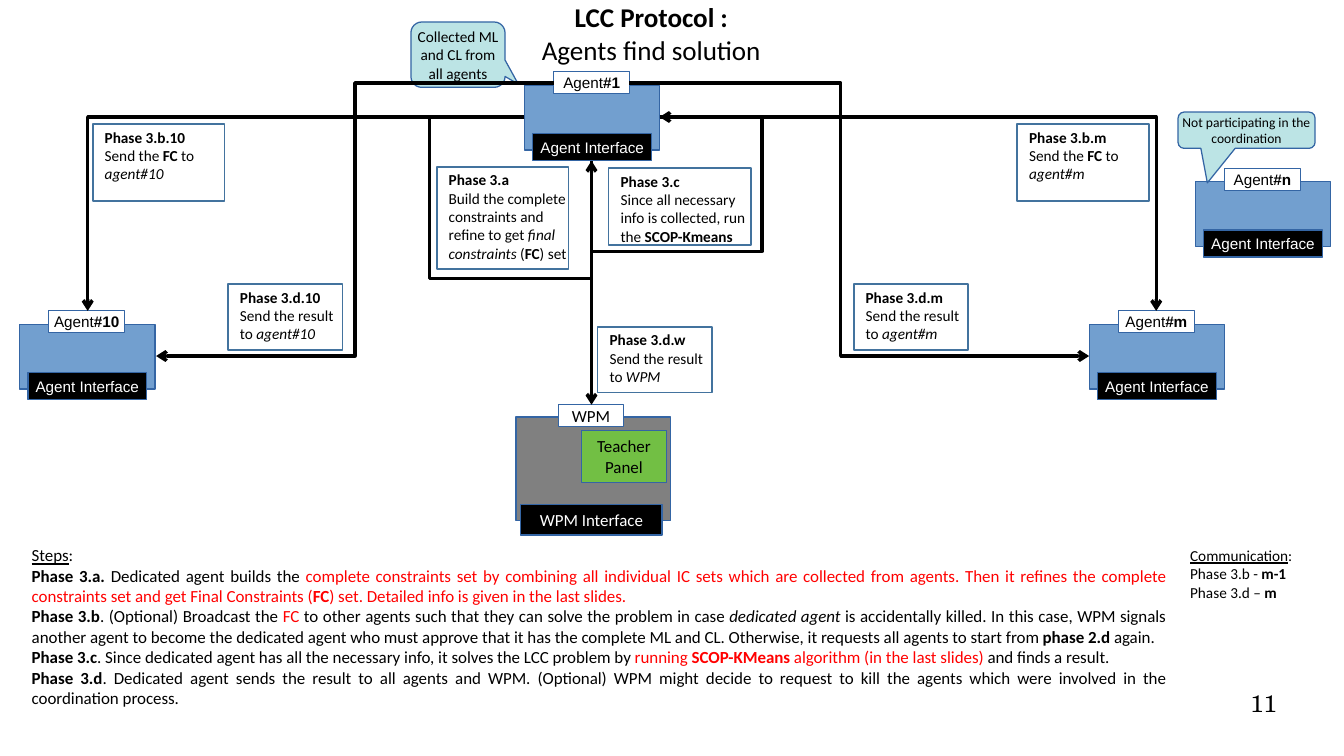
"""Build the slide that shows how agents find a solution in the LCC protocol."""
from dataclasses import dataclass

from lxml import etree
from pptx import Presentation
from pptx import util as u
from pptx.dml.color import RGBColor
from pptx.enum import shapes, text
from pptx.oxml import ns

Pt = u.Pt


@dataclass(frozen=True)
class Theme:
    black: str = "000000"
    white: str = "FFFFFF"
    red: str = "FF0000"
    agent: str = "729FCF"
    edge: str = "3465A4"
    note_edge: str = "43739E"
    callout: str = "BCE4E5"
    server: str = "808080"
    panel: str = "72BF44"
    sans: str = "Calibri"
    label: str = "Arial"
    serif: str = "TeX Gyre Schola"
    tiny: int = 8
    small: int = 9
    normal: int = 10
    large: int = 14
    title: int = 16


theme = Theme()
align = text.PP_ALIGN
anchor = text.MSO_ANCHOR
preset = shapes.MSO_SHAPE


def write(shape, lines, size, font=theme.sans, color=theme.black, alignment=align.CENTER,
          anchored=anchor.MIDDLE, insets=(0, 0, 0, 0), wrap=True):
    """Fill a shape with paragraphs of (text, style) runs; styles are b, i, u and r for red."""
    frame = shape.text_frame
    frame.word_wrap = wrap
    frame.auto_size = text.MSO_AUTO_SIZE.NONE
    frame.vertical_anchor = anchored
    frame.margin_left, frame.margin_top, frame.margin_right, frame.margin_bottom = map(Pt, insets)
    for index, runs in enumerate(lines):
        paragraph = frame.add_paragraph() if index else frame.paragraphs[0]
        paragraph.alignment = alignment
        paragraph.space_before = Pt(0)
        paragraph.font.size = Pt(size)
        paragraph.font.name = font
        paragraph.font.color.rgb = RGBColor.from_string(color)
        for content, style in runs:
            run = paragraph.add_run()
            run.text = content
            if "b" in style:
                run.font.bold = True
            if "i" in style:
                run.font.italic = True
            if "u" in style:
                run.font.underline = True
            if "r" in style:
                run.font.color.rgb = RGBColor.from_string(theme.red)


def draw(kind, box, fill=None, line=theme.edge, width=0):
    """Add a preset shape with its fill and outline."""
    shape = slide.shapes.add_shape(kind, *map(Pt, box))
    shape.shadow.inherit = False
    if fill:
        shape.fill.solid()
        shape.fill.fore_color.rgb = RGBColor.from_string(fill)
    else:
        shape.fill.background()
    shape.line.color.rgb = RGBColor.from_string(line)
    shape.line.width = Pt(width)
    return shape


presentation = Presentation()
presentation.slide_width, presentation.slide_height = Pt(793.44), Pt(446.4)
slide = presentation.slides.add_slide(presentation.slide_layouts[1])

title, steps = slide.placeholders
title.left, title.top, title.width, title.height = map(Pt, (27.4, 2.9, 714.2, 33.1))
write(title, [[("LCC Protocol :", "b")], [("Agents find solution", "")]], theme.title)

steps.left, steps.top, steps.width, steps.height = map(Pt, (11.5, 318.2, 684, 105.8))
write(steps, [
    [("Steps", "u"), (":", "")],
    [("Phase 3.a.", "b"), (" Dedicated agent builds the ", ""),
     ("complete constraints set by combining all individual IC sets which are collected from "
      "agents. Then it refines the complete constraints set and get Final Constraints (", "r"),
     ("FC", "br"), (") set. Detailed info is given in the last slides.", "r")],
    [("Phase 3.b", "b"), (". (Optional) Broadcast the ", ""), ("FC ", "r"),
     ("to other agents such that they can solve the problem in case ", ""),
     ("dedicated agent", "i"),
     (" is accidentally killed. In this case, WPM signals another agent to become the dedicated "
      "agent who must approve that it has the complete ML and CL. Otherwise, it requests all "
      "agents to start from ", ""), ("phase 2.d ", "b"), ("again.", "")],
    [("Phase 3.c", "b"),
     (". Since dedicated agent has all the necessary info, it solves the LCC problem by ", ""),
     ("running ", "r"), ("SCOP-KMeans ", "br"), ("algorithm (in the last slides)", "r"),
     (" and finds a result.", "")],
    [("Phase 3.d", "b"),
     (". Dedicated agent sends the result to all agents and WPM. (Optional) WPM might decide to "
      "request to kill the agents which were involved in the coordination process.", "")],
], theme.normal, alignment=align.JUSTIFY, anchored=anchor.TOP, insets=(7.2, 3.6, 7.2, 3.6))
for paragraph in steps.text_frame.paragraphs:
    properties = paragraph._p.get_or_add_pPr()
    properties.set("marL", "0")
    properties.set("indent", "0")
    bullet = etree.Element(ns.qn("a:buNone"))
    properties.find(ns.qn("a:defRPr")).addprevious(bullet)

communication = slide.shapes.add_textbox(Pt(695.5), Pt(319), Pt(75.6), Pt(40.3))
write(communication, [[("Communication", "u"), (":", "")],
                      [("Phase 3.b - ", ""), ("m-1", "b")],
                      [("Phase 3.d –", ""), (" m", "b")]],
      theme.small, alignment=align.LEFT, anchored=anchor.TOP, insets=(7.2, 3.6, 0, 3.6))
page_number = slide.shapes.add_textbox(Pt(568.8), Pt(406.8), Pt(185), Pt(31))
write(page_number, [[("11", "")]], theme.large, theme.serif,
      alignment=align.RIGHT, anchored=anchor.TOP)

for name, left, top in (("1", 309.6, 50.4), ("10", 11.5, 191.5),
                        ("m", 643, 191.5), ("n", 705.6, 107.3)):
    draw(preset.RECTANGLE, (left, top, 80, 38.2), theme.agent)
    tag = draw(preset.RECTANGLE, (left + 17.2, top - 8, 45, 13), theme.white)
    write(tag, [[("Agent", ""), ("#" + name, "b")]], theme.small, theme.label, wrap=False)
    interface = draw(preset.RECTANGLE, (left + 5, top + 28.6, 70, 16), theme.black)
    write(interface, [[("Agent Interface", "")]], theme.small, theme.label, theme.white, wrap=False)

for box, tip, size, lines in (
        ((242.6, 13, 55.6, 38.6), (306, 49.7), theme.small,
         ("Collected ML", "and CL from", "all agents")),
        ((695.5, 66.2, 80.9, 21.4), (712.8, 108), theme.tiny,
         ("Not participating in the", "coordination"))):
    left, top, width, height = box
    callout = draw(preset.ROUNDED_RECTANGULAR_CALLOUT, box, theme.callout)
    callout.adjustments[0] = (tip[0] - left) / width - 0.5
    callout.adjustments[1] = (tip[1] - top) / height - 0.5
    write(callout, [[(line, "")] for line in lines], size, wrap=False)

for box, fill, color, lines in (
        ((304.6, 246.2, 91.4, 61.2), theme.server, theme.black, ()),
        ((329.8, 239, 38.2, 13), theme.white, theme.black, ("WPM",)),
        ((343.4, 254.2, 50, 30.6), theme.panel, theme.black, ("Teacher", "Panel")),
        ((307.4, 298, 83.5, 18), theme.black, theme.white, ("WPM Interface",))):
    part = draw(preset.RECTANGLE, box, fill)
    write(part, [[(line, "")] for line in lines], theme.normal, color=color, wrap=False)

for kind, start, end, adjustments, arrow in (
        ("bentConnector2", (309.6, 69.1), (51.8, 183.6), (), "tailEnd"),
        ("bentConnector2", (389.5, 69.1), (682.6, 183.6), (), "tailEnd"),
        ("bentConnector3", (371.5, 49), (643, 210.2), (0.46,), "tailEnd"),
        ("bentConnector3", (326.9, 49), (92.2, 210.2), (0.5,), "tailEnd"),
        ("bentConnector4", (389.5, 69.1), (349.2, 95), (-1.5, 3.06), "headEnd"),
        ("bentConnector4", (309.6, 69.1), (349.2, 95), (-1.42, 3.68), "tailEnd"),
        ("line", (349.2, 95), (349.2, 239), (), "tailEnd")):
    connector = slide.shapes.add_connector(shapes.MSO_CONNECTOR.ELBOW, *map(Pt, start + end))
    connector.line.color.rgb = RGBColor.from_string(theme.black)
    connector.line.width = Pt(0)
    properties = connector._element.spPr
    geometry = properties.find(ns.qn("a:prstGeom"))
    geometry.set("prst", kind)
    guides = geometry.find(ns.qn("a:avLst"))
    for index, value in enumerate(adjustments, 1):
        etree.SubElement(guides, ns.qn("a:gd"), name=f"adj{index}", fmla=f"val {value * 100000:.0f}")
    etree.SubElement(properties.find(ns.qn("a:ln")), ns.qn("a:" + arrow), type="arrow")
    etree.SubElement(properties, ns.qn("a:effectLst"))

send_result = [("Send the result", "")]
for phase, box, lines in (
        ("3.a", (257.8, 98.6, 77.8, 60.5),
         [[("Build the complete constraints and refine to get ", ""), ("final constraints ", "i"),
           ("(", ""), ("FC", "b"), (") set", "")]]),
        ("3.b.10", (54.7, 73.4, 77.8, 45.4),
         [[("Send the ", ""), ("FC", "b"), (" to ", ""), ("agent#10", "i")]]),
        ("3.b.m", (600.5, 73.4, 77.8, 45.4),
         [[("Send the ", ""), ("FC ", "b"), ("to ", ""), ("agent#m", "i")]]),
        ("3.c", (359.3, 99.4, 84.2, 45.4),
         [[("Since all necessary", "")],
          [("info is collected, run the ", ""), ("SCOP-Kmeans", "b")]]),
        ("3.d.10", (134.6, 167.8, 67.7, 38.9), [send_result, [("to ", ""), ("agent#10", "i")]]),
        ("3.d.m", (504, 167.8, 67.7, 38.9), [send_result, [("to ", ""), ("agent#m", "i")]]),
        ("3.d.w", (352.8, 193, 67.7, 38.9), [send_result, [("to ", ""), ("WPM", "i")]])):
    note = draw(preset.RECTANGLE, box, line=theme.note_edge, width=1)
    write(note, [[("Phase " + phase, "b")]] + lines, theme.small,
          alignment=align.LEFT, anchored=anchor.TOP, insets=(7.2, 2.2, 0, 0))

presentation.save("out.pptx")
